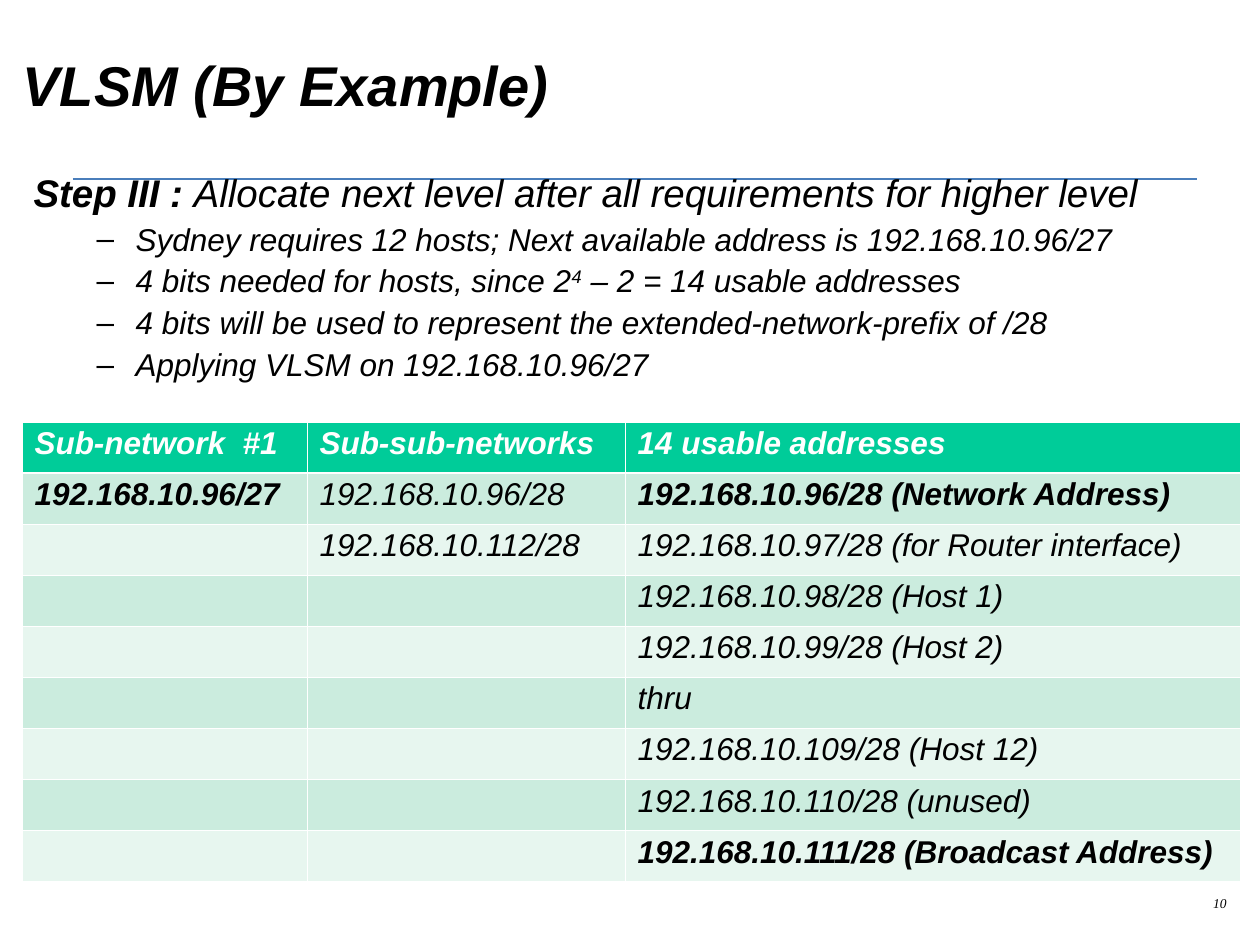
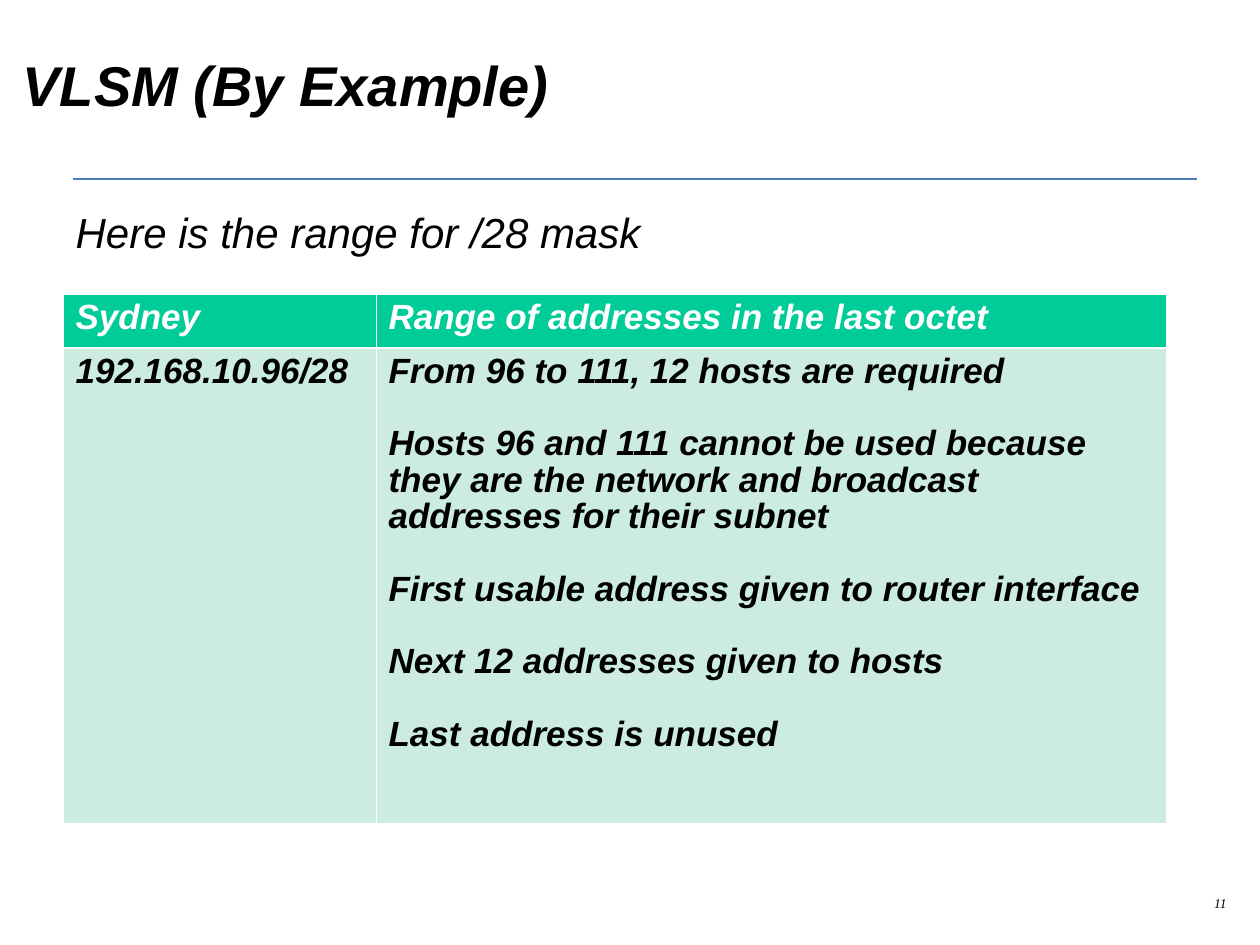
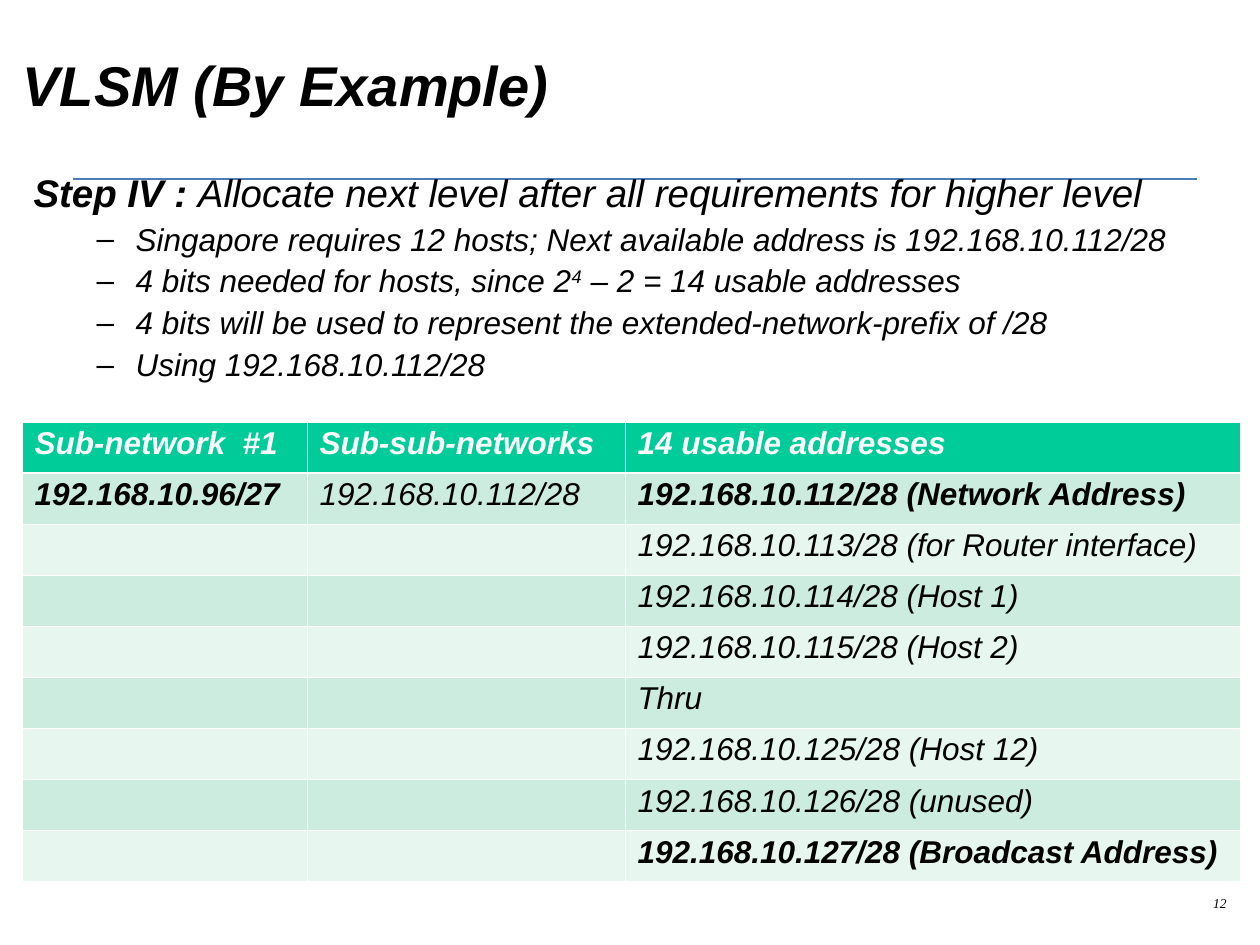
import pptx
import pptx.dml.color
import pptx.enum.shapes
import pptx.enum.text
import pptx.oxml
import pptx.oxml.ns
import pptx.util

PX = 914400 / 126
COLORS = {"text": "000000", "white": "FFFFFF", "rule": "4A7EBB",
          "header": "00CC99", "band_dark": "CBECDE", "band_light": "E7F6EF"}
TITLE = "VLSM (By Example)"
STEP_TEXT = "Allocate next level after all requirements for higher level"
HEADINGS = ["Sub-network  #1", "Sub-sub-networks", "14 usable addresses"]
A_NS = pptx.oxml.ns.nsdecls("a")
ALIGN = pptx.enum.text.PP_ALIGN


def px(*values):
    return [pptx.util.Emu(round(v * PX)) for v in values]


def write(p, text, size=18, font="Arial", color="text", bold=False, sup=False,
          spacing=None, before=None, align=ALIGN.LEFT, margin=0, indent=0, bullet=None):
    pPr = p._p.get_or_add_pPr()
    if not p.runs:
        left, first = px(margin, indent)
        pPr.set("marL", str(left))
        pPr.set("indent", str(first))
        mark = f'<a:buChar {A_NS} char="{bullet}"/>' if bullet else f"<a:buNone {A_NS}/>"
        pPr.append(pptx.oxml.parse_xml(mark))
        p.alignment = align
        p.line_spacing = spacing
        p.space_before = pptx.util.Pt(before or 0)
    r = p.add_run()
    r.text = text
    r.font.name = font
    r.font.size = pptx.util.Pt(size)
    r.font.bold = bold
    r.font.italic = True
    r.font.color.rgb = pptx.dml.color.RGBColor.from_string(COLORS[color])
    if sup:
        r.font._element.set("baseline", "30000")


slides = [
    {
        "number": "10",
        "body": (21, 168, 1229, 242),
        "step": "Step III : ",
        "bullets": ["Sydney requires 12 hosts; Next available address is 192.168.10.96/27",
                    "Applying VLSM on 192.168.10.96/27"],
        "origin": (22, 422), "cols": [285, 318, 615], "rows": [51] * 9, "size": 18,
        "cells": [
            HEADINGS,
            ["192.168.10.96/27", "192.168.10.96/28", "192.168.10.96/28 (Network Address)"],
            ["", "192.168.10.112/28", "192.168.10.97/28 (for Router interface)"],
            ["", "", "192.168.10.98/28 (Host 1)"],
            ["", "", "192.168.10.99/28 (Host 2)"],
            ["", "", "thru"],
            ["", "", "192.168.10.109/28 (Host 12)"],
            ["", "", "192.168.10.110/28 (unused)"],
            ["", "", "192.168.10.111/28 (Broadcast Address)"],
        ],
        "bold": {(1, 0), (1, 2), (8, 2)},
    },
    {
        "number": "11",
        "body": (63, 200, 1081, 73),
        "lead": "Here is the range for /28 mask",
        "origin": (63, 294), "cols": [313, 790], "rows": [54, 475], "size": 20,
        "cells": [
            ["Sydney", "Range of addresses in the last octet"],
            ["192.168.10.96/28",
             "From 96 to 111, 12 hosts are required\n"
             "Hosts 96 and 111 cannot be used because they are the network and "
             "broadcast addresses for their subnet\n"
             "First usable address given to router interface\n"
             "Next 12 addresses given to hosts\n"
             "Last address is unused"],
        ],
        "bold": {(1, 0), (1, 1)},
    },
    {
        "number": "12",
        "body": (21, 168, 1229, 242),
        "step": "Step IV : ",
        "bullets": ["Singapore requires 12 hosts; Next available address is 192.168.10.112/28",
                    "Using 192.168.10.112/28"],
        "origin": (22, 422), "cols": [285, 318, 615], "rows": [51] * 9, "size": 18,
        "cells": [
            HEADINGS,
            ["192.168.10.96/27", "192.168.10.112/28", "192.168.10.112/28 (Network Address)"],
            ["", "", "192.168.10.113/28 (for Router interface)"],
            ["", "", "192.168.10.114/28 (Host 1)"],
            ["", "", "192.168.10.115/28 (Host 2)"],
            ["", "", "Thru"],
            ["", "", "192.168.10.125/28 (Host 12)"],
            ["", "", "192.168.10.126/28 (unused)"],
            ["", "", "192.168.10.127/28 (Broadcast Address)"],
        ],
        "bold": {(1, 0), (1, 2), (8, 2)},
    },
]

prs = pptx.Presentation()
prs.slide_width, prs.slide_height = px(1260, 945)

for data in slides:
    s = prs.slides.add_slide(prs.slide_layouts[1])

    rule = s.shapes.add_connector(pptx.enum.shapes.MSO_CONNECTOR.STRAIGHT,
                                  *px(73, 179, 1197, 179))
    rule.line.color.rgb = pptx.dml.color.RGBColor.from_string(COLORS["rule"])
    rule.line.width = pptx.util.Pt(0.75)
    rule._element.spPr.append(pptx.oxml.parse_xml(f"<a:effectLst {A_NS}/>"))
    s.shapes._spTree.insert(2, rule._element)

    number = s.shapes.add_textbox(*px(977, 892, 262, 32))
    title, body = s.shapes.title, s.placeholders[1]
    for sp, box in ((title, (10, 21, 1239, 126)), (body, data["body"])):
        sp.left, sp.top, sp.width, sp.height = px(*box)
    for sp in (number, title, body):
        tf = sp.text_frame
        tf.word_wrap = True
        tf.auto_size = pptx.enum.text.MSO_AUTO_SIZE.NONE
        tf.vertical_anchor = pptx.enum.text.MSO_ANCHOR.TOP
    title.text_frame.vertical_anchor = pptx.enum.text.MSO_ANCHOR.MIDDLE
    write(number.text_frame.paragraphs[0], data["number"], size=7.7,
          font="Times New Roman", spacing=0.8, align=ALIGN.RIGHT)
    write(title.text_frame.paragraphs[0], TITLE, size=32, bold=True)

    tf = body.text_frame
    p = tf.paragraphs[0]
    if "lead" in data:
        write(p, data["lead"], size=24, margin=47, indent=-47)
    else:
        write(p, data["step"], size=22, bold=True, spacing=0.9, margin=47, indent=-47)
        write(p, STEP_TEXT, size=22)
        first, last = data["bullets"]
        for parts in ([first],
                      ["4 bits needed for hosts, since 2", "4", " – 2 = 14 usable addresses"],
                      ["4 bits will be used to represent the extended-network-prefix of /28"],
                      [last]):
            p = tf.add_paragraph()
            p.level = 1
            for i, part in enumerate(parts):
                write(p, part, sup=i == 1, spacing=0.9, before=4.5,
                      margin=102, indent=-39, bullet="–")

    cols, rows = data["cols"], data["rows"]
    table = s.shapes.add_table(len(rows), len(cols),
                               *px(*data["origin"], sum(cols), sum(rows))).table
    for col, width in zip(table.columns, px(*cols)):
        col.width = width
    for row, height in zip(table.rows, px(*rows)):
        row.height = height
    for i, texts in enumerate(data["cells"]):
        fill = "header" if i == 0 else "band_dark" if i % 2 else "band_light"
        for j, text in enumerate(texts):
            cell = table.cell(i, j)
            tcPr = cell._tc.get_or_add_tcPr()
            for side in "LRTB":
                thick = (i, side) in ((0, "B"), (1, "T"))
                width = pptx.util.Pt(0.75 if thick else 0.23)
                tcPr.append(pptx.oxml.parse_xml(
                    f'<a:ln{side} {A_NS} w="{width}"><a:solidFill>'
                    f'<a:srgbClr val="{COLORS["white"]}"/></a:solidFill></a:ln{side}>'))
            cell.fill.solid()
            cell.fill.fore_color.rgb = pptx.dml.color.RGBColor.from_string(COLORS[fill])
            if not text:
                continue
            for k, line in enumerate(text.split("\n")):
                p = cell.text_frame.add_paragraph() if k else cell.text_frame.paragraphs[0]
                write(p, line, size=data["size"], color="text" if i else "white",
                      bold=i == 0 or (i, j) in data["bold"],
                      spacing=0.93, before=20.7 if k else 0)

prs.save("out.pptx")
